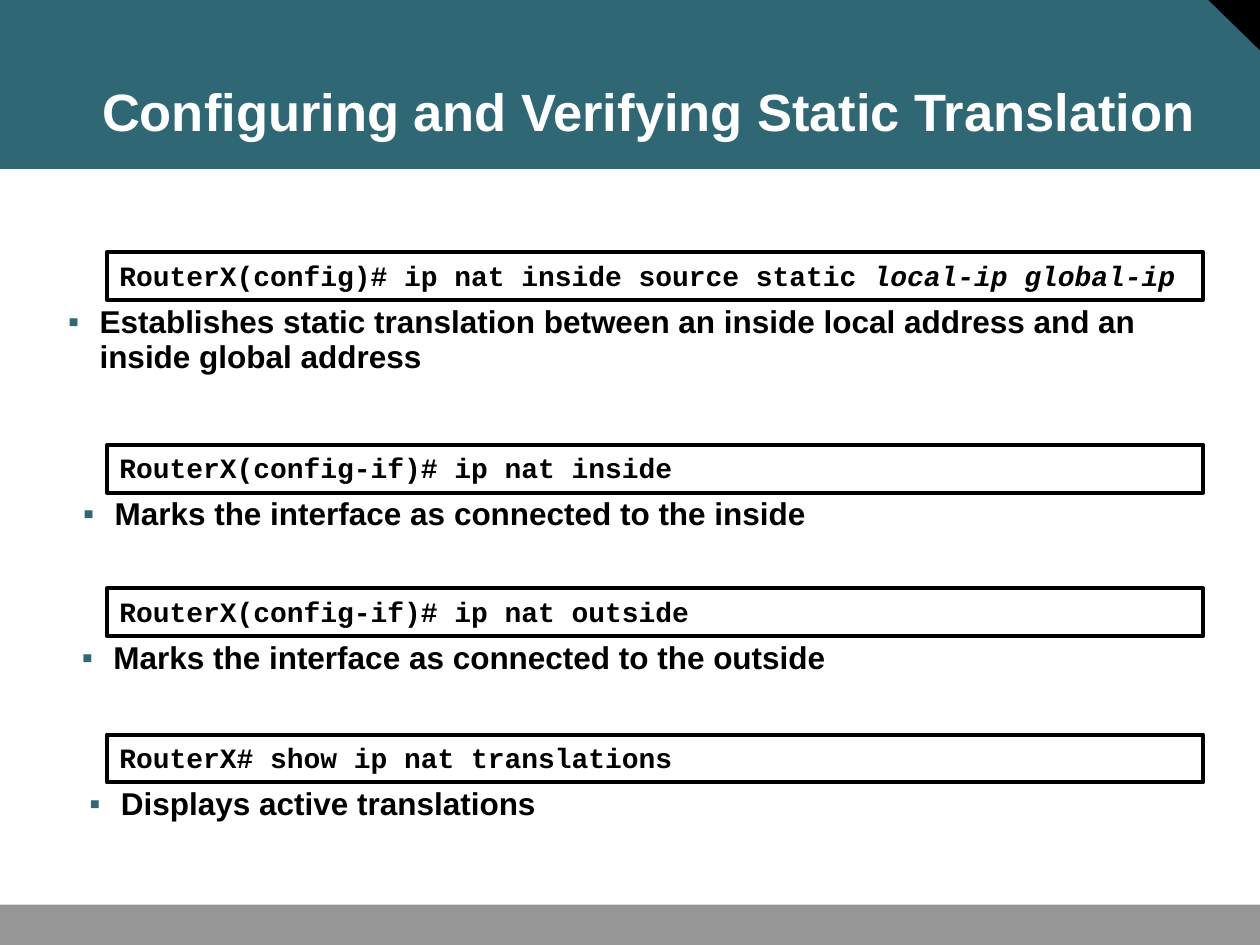
import lxml.etree
import pptx
import pptx.dml.color
import pptx.enum.shapes
import pptx.enum.text
import pptx.oxml.ns
import pptx.util

TEAL = pptx.dml.color.RGBColor(0x30, 0x67, 0x74)
GREY = pptx.dml.color.RGBColor(0x96, 0x96, 0x96)
BLACK = pptx.dml.color.RGBColor(0x00, 0x00, 0x00)
WHITE = pptx.dml.color.RGBColor(0xFF, 0xFF, 0xFF)

SHAPES = pptx.enum.shapes.MSO_SHAPE
ANCHOR = pptx.enum.text.MSO_ANCHOR
ALIGN = pptx.enum.text.PP_ALIGN
AUTO_SIZE = pptx.enum.text.MSO_AUTO_SIZE

COLUMNS, ROWS = 100, 75
COMMAND_LEFT, COMMAND_WIDTH, COMMAND_HEIGHT = 8.5, 87, 3.8
NOTE_DROP, NOTE_LINE = 4.15, 2.9

COMMANDS = [
    (20, "RouterX(config)# ip nat inside source static ", "local-ip global-ip",
     5.4, 85.5, "Establishes static translation between an inside local address and an \vinside global address"),
    (35.3, "RouterX(config-if)# ip nat inside", "",
     6.6, 57.4, "Marks the interface as connected to the inside"),
    (46.7, "RouterX(config-if)# ip nat outside", "",
     6.5, 59.1, "Marks the interface as connected to the outside"),
    (58.3, "RouterX# show ip nat translations", "",
     7.1, 36.1, "Displays active translations"),
]


class SlideBuilder:
    text_font = "Arial"
    code_font = "Courier New"
    title_size, note_size, code_size = 30, 18, 16

    def __init__(self, presentation):
        self.slide = presentation.slides.add_slide(presentation.slide_layouts[6])
        self.column = presentation.slide_width / COLUMNS
        self.row = presentation.slide_height / ROWS

    def place(self, left, top, width, height):
        return (int(left * self.column), int(top * self.row),
                int(width * self.column), int(height * self.row))

    def shape(self, kind, box, color=None):
        shape = self.slide.shapes.add_shape(kind, *self.place(*box))
        shape.shadow.inherit = False
        shape.line.fill.background()
        if color is None:
            shape.fill.background()
        else:
            shape.fill.solid()
            shape.fill.fore_color.rgb = color
        return shape

    def text_box(self, box, margins=(0, 0)):
        text_frame = self.slide.shapes.add_textbox(*self.place(*box)).text_frame
        self.margins(text_frame, *margins)
        return text_frame

    def margins(self, text_frame, horizontal, vertical):
        text_frame.margin_left = text_frame.margin_right = pptx.util.Inches(horizontal)
        text_frame.margin_top = text_frame.margin_bottom = pptx.util.Inches(vertical)

    def style(self, paragraph, name, size, color=BLACK):
        paragraph.alignment = ALIGN.LEFT
        for run in paragraph.runs:
            run.font.name = name
            run.font.size = pptx.util.Pt(size)
            run.font.bold = True
            run.font.color.rgb = color

    def title(self, text, box):
        text_frame = self.text_box(box, (0.09, 0.04))
        text_frame.word_wrap = True
        text_frame.vertical_anchor = ANCHOR.BOTTOM
        text_frame.text = text
        paragraph = text_frame.paragraphs[0]
        paragraph.line_spacing = 0.9
        self.style(paragraph, self.text_font, self.title_size, WHITE)

    def command(self, top, text, arguments):
        shape = self.shape(SHAPES.RECTANGLE, (COMMAND_LEFT, top, COMMAND_WIDTH, COMMAND_HEIGHT))
        shape.line.color.rgb = BLACK
        shape.line.width = pptx.util.Pt(2.25)
        text_frame = shape.text_frame
        self.margins(text_frame, 0.1, 0.05)
        text_frame.word_wrap = False
        text_frame.vertical_anchor = ANCHOR.TOP
        text_frame.text = text
        paragraph = text_frame.paragraphs[0]
        if arguments:
            run = paragraph.add_run()
            run.text = arguments
            run.font.italic = True
        self.style(paragraph, self.code_font, self.code_size)

    def note(self, left, top, width, text):
        height = NOTE_LINE * (text.count("\v") + 1)
        text_frame = self.text_box((left, top, width, height))
        text_frame.word_wrap = False
        text_frame.auto_size = AUTO_SIZE.SHAPE_TO_FIT_TEXT
        text_frame.text = text
        paragraph = text_frame.paragraphs[0]
        paragraph.line_spacing = 0.95
        self.bullet(paragraph)
        self.style(paragraph, self.text_font, self.note_size)

    def bullet(self, paragraph):
        properties = paragraph._p.get_or_add_pPr()
        indent = pptx.util.Inches(0.25)
        properties.set("marL", str(indent))
        properties.set("indent", str(-indent))
        qualify = pptx.oxml.ns.qn
        color = lxml.etree.SubElement(properties, qualify("a:buClr"))
        lxml.etree.SubElement(color, qualify("a:srgbClr"), val=str(TEAL))
        lxml.etree.SubElement(properties, qualify("a:buFont"), typeface=self.text_font)
        lxml.etree.SubElement(properties, qualify("a:buChar"), char="▪")


def main():
    presentation = pptx.Presentation()
    presentation.slide_width = pptx.util.Inches(10)
    presentation.slide_height = pptx.util.Inches(7.5)
    builder = SlideBuilder(presentation)

    builder.shape(SHAPES.RECTANGLE, (0, 0, COLUMNS, 13.4), TEAL)
    corner = builder.shape(SHAPES.RIGHT_TRIANGLE, (95.8, -0.1, 4.2, 4.1), BLACK)
    corner.rotation = 180
    builder.shape(SHAPES.RECTANGLE, (0, 71.8, COLUMNS, 3.2), GREY)

    for top, command, arguments, note_left, note_width, note in COMMANDS:
        builder.note(note_left, top + NOTE_DROP, note_width, note)
        builder.command(top, command, arguments)

    builder.title("Configuring and Verifying Static Translation", (7.2, 2.5, 89.1, 9.2))
    presentation.save("out.pptx")


if __name__ == "__main__":
    main()
